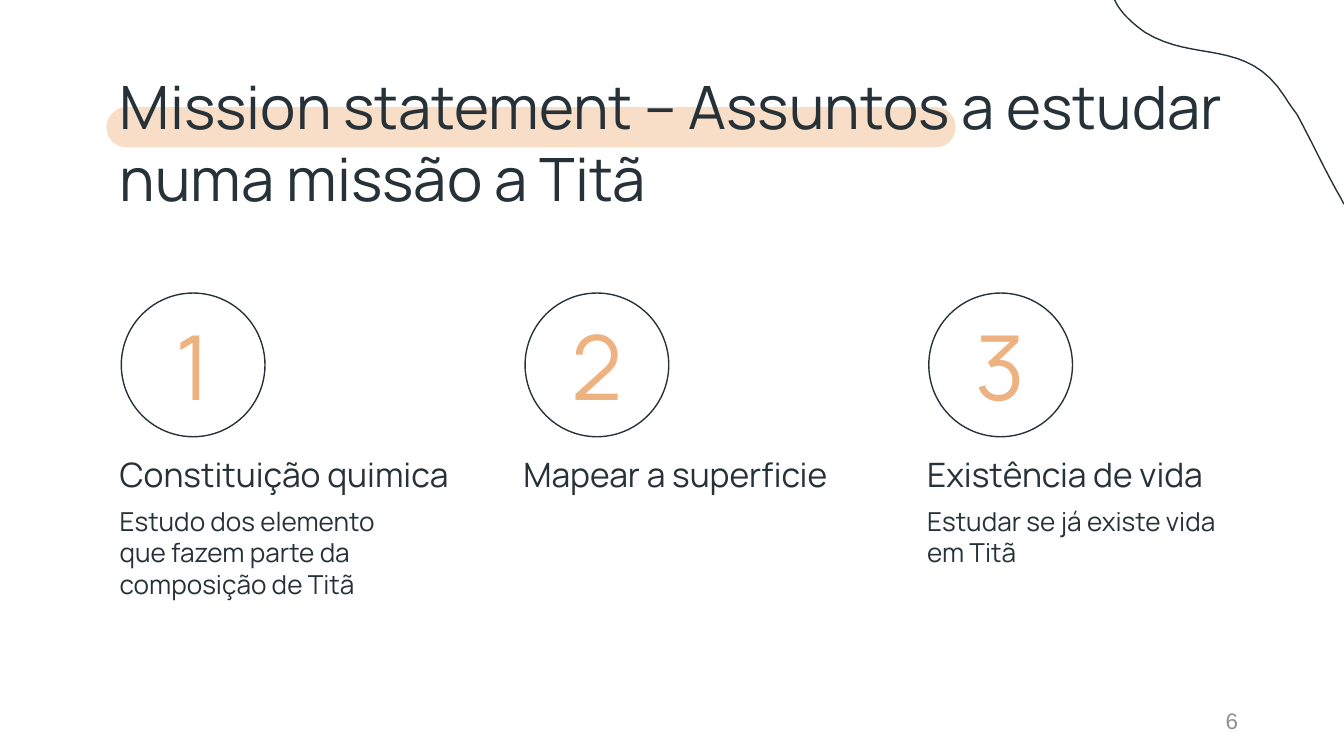
from lxml import etree
from pptx import Presentation, util as u
from pptx.dml.color import RGBColor
from pptx.enum import shapes, text

Pt = u.Pt
INK, ORANGE, PEACH, GREY = "263238", "EDB280", "F9DEC7", "8E9091"

TITLE = "Mission statement – Assuntos a estudar numa missão a Titã"
TOPICS = [
    ("1", "Constituição quimica", "Estudo dos elemento que fazem parte da composição de Titã", 224.6),
    ("2", "Mapear a superficie", "", 206.6),
    ("3", "Existência de vida", "Estudar se já existe vida em Titã", 202.3),
]
PAGE_NUMBER = "6"

CURVE_START = (597.2, 0)
CURVE_END = (720, 109.4)
CURVE = [
    [(598.3, 2.2), (601.2, 7.2), (606.2, 12.2), (613.4, 17.3)],
    [(613.4, 17.3), (640.1, 33.8), (668.2, 20.2), (688.3, 51.8)],
    [(688.3, 51.8), (690.5, 55.4), (692.6, 58.3), (694.8, 61.2)],
    [(694.8, 61.2), (703.4, 77), (710.6, 92.9), (718.6, 106.6)],
]
CURVE_STEPS = 16

COLUMN_LEFT, COLUMN_STEP = 57, 216.3
HEADING = {"size": 18, "color": INK, "space_after": 16}
BODY = {"size": 14, "color": INK, "space_after": 16}
NUMBER = {"size": 48, "color": ORANGE, "align": text.PP_ALIGN.CENTER, "anchor": text.MSO_ANCHOR.MIDDLE}
PAGE = {"size": 12, "color": GREY, "font": "Arial", "align": text.PP_ALIGN.RIGHT,
        "anchor": text.MSO_ANCHOR.MIDDLE}


def rgb(value):
    return RGBColor.from_string(value)


def paint(shape, fill=None, line=None):
    shape.shadow.inherit = False
    if fill:
        shape.fill.solid()
        shape.fill.fore_color.rgb = rgb(fill)
    else:
        shape.fill.background()
    if line:
        shape.line.color.rgb = rgb(line)
        shape.line.width = Pt(0.75)
    else:
        shape.line.fill.background()


def write(shape, words, size, color, font="Manrope", align=text.PP_ALIGN.LEFT,
          anchor=text.MSO_ANCHOR.TOP, space_after=0):
    frame = shape.text_frame
    frame_format = {"word_wrap": True, "auto_size": text.MSO_AUTO_SIZE.NONE, "vertical_anchor": anchor}
    frame_format.update({f"margin_{side}": Pt(7.2) for side in ("left", "top", "right", "bottom")})
    paragraph = frame.paragraphs[0]
    paragraph.text = words
    paragraph_format = {"alignment": align, "space_before": Pt(0), "space_after": Pt(space_after)}
    font_format = {"name": font, "size": Pt(size), "bold": False}
    for target, values in ((frame, frame_format), (paragraph, paragraph_format),
                           (paragraph.runs[0].font, font_format)):
        for name, value in values.items():
            setattr(target, name, value)
    paragraph.runs[0].font.color.rgb = rgb(color)


def add_text(slide, words, box, style):
    write(slide.shapes.add_textbox(*map(Pt, box)), words, **style)


def bezier_point(controls, t):
    weights = ((1 - t) ** 3, 3 * t * (1 - t) ** 2, 3 * t * t * (1 - t), t ** 3)
    return tuple(sum(w * point[axis] for w, point in zip(weights, controls)) for axis in (0, 1))


def add_curve(slide):
    points = [CURVE[0][0]]
    for controls in CURVE:
        points += [bezier_point(controls, step / CURVE_STEPS) for step in range(1, CURVE_STEPS + 1)]
    points.append(CURVE_END)
    builder = slide.shapes.build_freeform(*map(Pt, CURVE_START))
    builder.add_line_segments([(Pt(x), Pt(y)) for x, y in points], close=False)
    paint(builder.convert_to_shape(), line=INK)


def add_topic(slide, index, topic):
    number, heading, body, heading_width = topic
    left = COLUMN_LEFT + index * COLUMN_STEP
    circle = slide.shapes.add_shape(shapes.MSO_SHAPE.OVAL, Pt(left + 8), Pt(157), Pt(77), Pt(77))
    paint(circle, line=INK)
    add_text(slide, number, (left + 11.5, 167.8, 70, 55.4), NUMBER)
    add_text(slide, heading, (left, 236.2, heading_width, 29.5), HEADING)
    if body:
        add_text(slide, body, (left, 263.5, 173.5, 67), BODY)


def main():
    presentation = Presentation()
    presentation.slide_width, presentation.slide_height = Pt(720), Pt(405)
    slide = presentation.slides.add_slide(presentation.slide_layouts[5])

    highlight = slide.shapes.add_shape(shapes.MSO_SHAPE.ROUNDED_RECTANGLE,
                                       Pt(57), Pt(57.4), Pt(455), Pt(21.6))
    highlight.adjustments[0] = 0.5
    paint(highlight, fill=PEACH)
    add_curve(slide)

    title = slide.shapes.title
    title.left, title.top, title.width, title.height = map(Pt, (57, 30.2, 607, 48.2))
    write(title, TITLE, 32, INK)
    highlight._element.addnext(title._element)

    for index, topic in enumerate(TOPICS):
        add_topic(slide, index, topic)
    add_text(slide, PAGE_NUMBER, (508.3, 375.4, 162, 21.6), PAGE)
    presentation.save("out.pptx")


if __name__ == "__main__":
    main()
